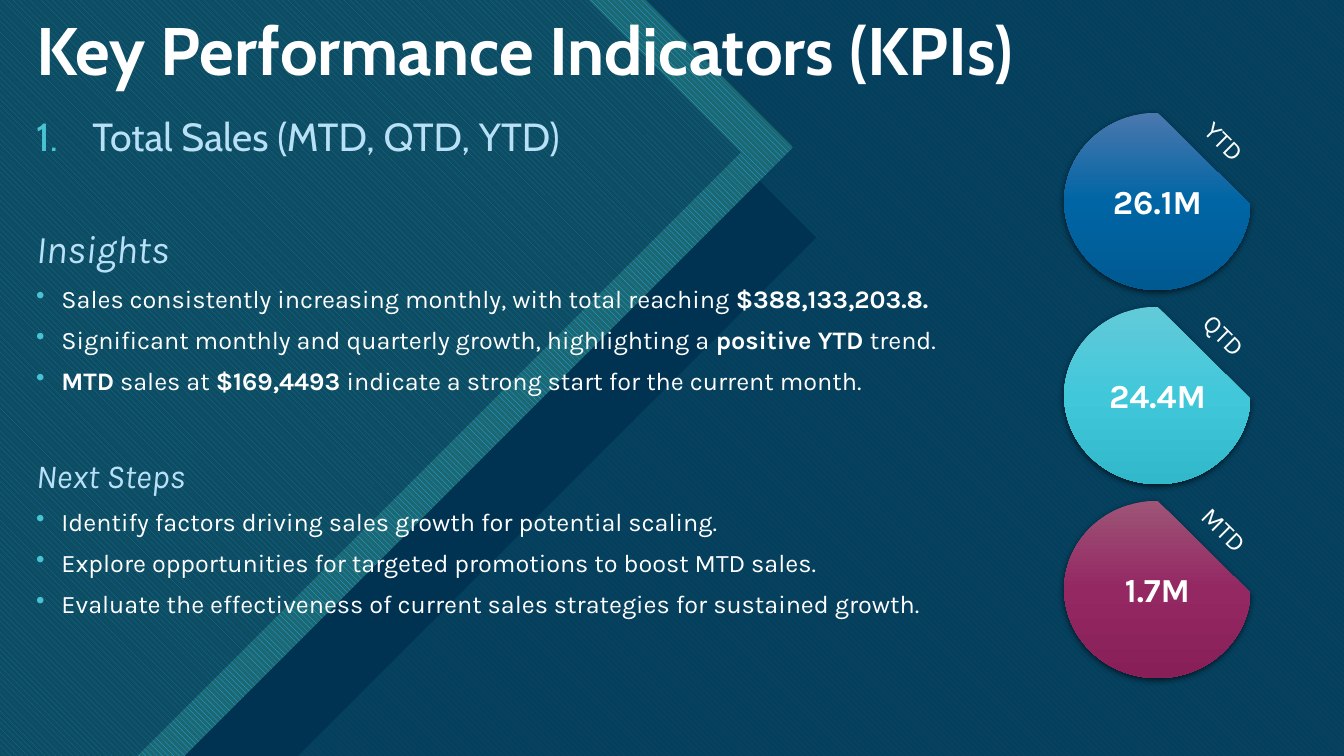
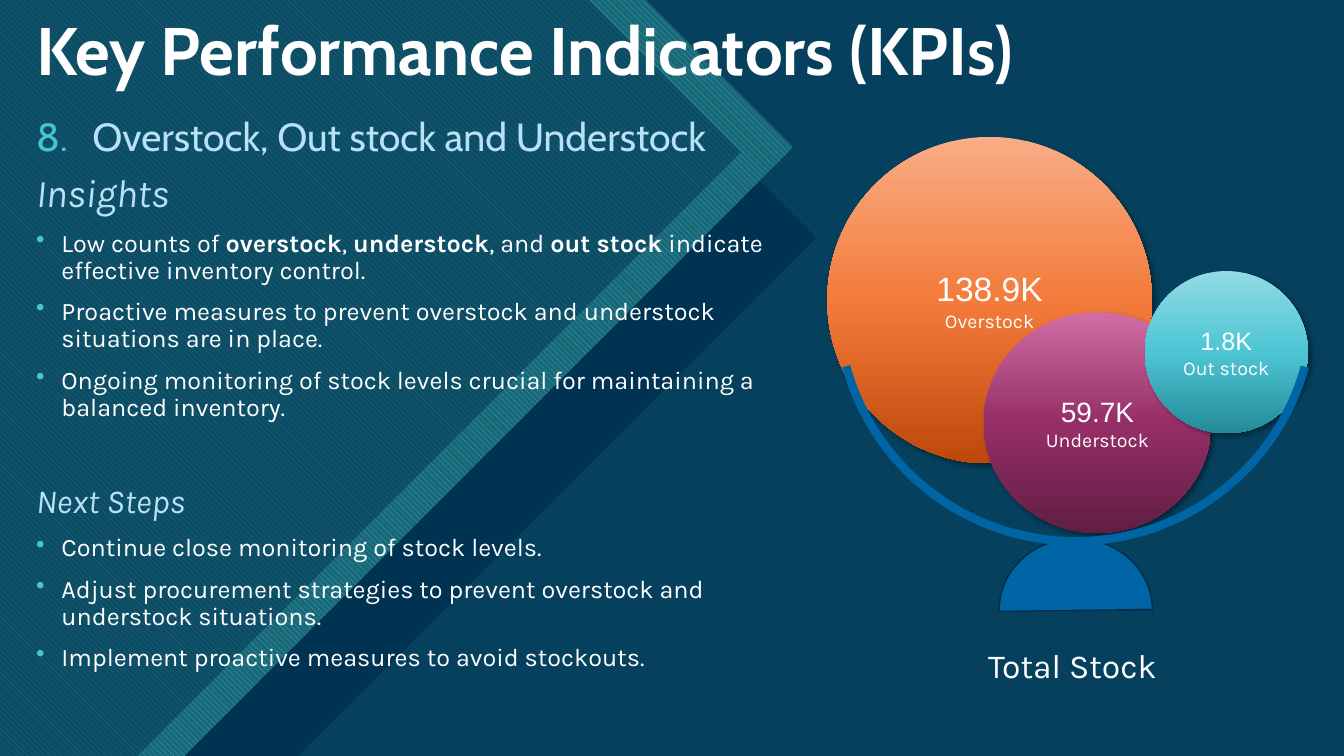
from pptx import Presentation
from pptx.dml.color import RGBColor
from pptx.enum.dml import MSO_PATTERN
from pptx.enum.shapes import MSO_SHAPE
from pptx.enum.text import MSO_ANCHOR, PP_ALIGN
from pptx.oxml import parse_xml
from pptx.oxml.ns import nsdecls, qn
from pptx.util import Cm, Pt

WHITE = RGBColor(0xFF, 0xFF, 0xFF)
SKY = RGBColor(0xB8, 0xE0, 0xF6)
TEAL = RGBColor(0x47, 0xC3, 0xD3)
DEEP_TEAL = RGBColor(0x1B, 0x68, 0x72)
BRIGHT_BLUE = RGBColor(0x2F, 0xAF, 0xFF)
BLUE = RGBColor(0x00, 0x65, 0xA4)
NAVY = RGBColor(0x00, 0x33, 0x52)
OUTLINE = RGBColor(0x00, 0x2C, 0x48)

YTD_BLUES = (RGBColor(0x4B, 0x78, 0xAE), BLUE, RGBColor(0x00, 0x5A, 0x92))
QTD_TEALS = (RGBColor(0x63, 0xCA, 0xD9), RGBColor(0x40, 0xC8, 0xDA), RGBColor(0x31, 0xB8, 0xCA))
MTD_PLUMS = (RGBColor(0x9D, 0x54, 0x77), RGBColor(0x94, 0x28, 0x63), RGBColor(0x88, 0x1F, 0x59))
OVER_ORANGES = (RGBColor(0xF8, 0xAD, 0x86), RGBColor(0xF4, 0x7B, 0x3B), RGBColor(0xBD, 0x48, 0x0A))
UNDER_PLUMS = (RGBColor(0xD1, 0x6C, 0xA4), RGBColor(0x96, 0x2F, 0x68), RGBColor(0x60, 0x1E, 0x42))
OUT_TEALS = (RGBColor(0x91, 0xDB, 0xE5), RGBColor(0x4D, 0xC5, 0xD4), RGBColor(0x24, 0x8B, 0x98))

RECTANGLE, CHORD = MSO_SHAPE.RECTANGLE, MSO_SHAPE.CHORD
OVAL, ARC = MSO_SHAPE.OVAL, MSO_SHAPE.ARC
WIDE_DOWN = MSO_PATTERN.WIDE_DOWNWARD_DIAGONAL
MIDDLE, TOP = MSO_ANCHOR.MIDDLE, MSO_ANCHOR.TOP
CENTER, LEFT = PP_ALIGN.CENTER, PP_ALIGN.LEFT

SLIDE_W, SLIDE_H = 33.87, 19.05
TITLE = "Key Performance Indicators (KPIs)"
TITLE_BOX = (0.66, 0.43, 32.4, 1.85)

TITLE_FONT = dict(name="Cabin", size=Pt(48), bold=True, color=WHITE)
KPI_FONT = dict(name="Cabin", size=Pt(28), color=SKY)
INSIGHTS_FONT = dict(name="Karla", size=Pt(28), italic=True, color=SKY)
STEPS_FONT = dict(name="Karla", size=Pt(24), italic=True, color=SKY)
BULLET_FONT = dict(name="Karla", size=Pt(18), color=WHITE)
VALUE_FONT = dict(name="Karla", size=Pt(24), bold=True, color=WHITE)
PERIOD_FONT = dict(name="Karla", size=Pt(18), color=WHITE)
STOCK_FONT = dict(name="Karla", size=Pt(14), color=WHITE)
TOTAL_FONT = dict(name="Karla", size=Pt(24), color=WHITE)

GAUGE_SHADOW = dict(alpha=63, blur=4.5, dist=1.5, angle=90)
BUBBLE_SHADOW = dict(alpha=40, blur=4, dist=3, angle=45)


def box(left, top, width, height):
    """Convert a box in centimetres to lengths."""
    return [Cm(value) for value in (left, top, width, height)]


def apply_format(target, values):
    """Set each attribute of the target; a colour goes to its rgb value."""
    for key, value in values.items():
        if key == "color":
            target.color.rgb = value
        else:
            setattr(target, key, value)


def add_text(paragraph, text, font):
    """Write text in one font, with the parts between ** in bold."""
    for index, part in enumerate(text.split("**")):
        if part:
            run = paragraph.add_run()
            run.text = part
            apply_format(run.font, font)
            if index % 2:
                run.font.bold = True


def fill_frame(shape, lines, align=CENTER, anchor=MIDDLE):
    """Write (text, font) lines into a shape and return its paragraphs."""
    frame = shape.text_frame
    apply_format(frame, dict(word_wrap=True, vertical_anchor=anchor))
    for index, (text, font) in enumerate(lines):
        paragraph = frame.add_paragraph() if index else frame.paragraphs[0]
        paragraph.alignment = align
        add_text(paragraph, text, font)
    return frame.paragraphs


def add_label(slide, area, text, font, align=CENTER, anchor=TOP, rotation=0):
    """Place one line of text in a box."""
    label = slide.shapes.add_textbox(*box(*area))
    label.rotation = rotation
    return fill_frame(label, [(text, font)], align, anchor)[0]


def paint(shape, color, alpha=100):
    """Give a shape a flat fill, without line or shadow."""
    shape.shadow.inherit = False
    shape.line.fill.background()
    shape.fill.solid()
    shape.fill.fore_color.rgb = color
    if alpha < 100:
        swatch = shape.fill._xPr.find(qn("a:solidFill"))[0]
        swatch.append(parse_xml(f'<a:alpha {nsdecls("a")} val="{alpha * 1000}"/>'))


def hatch(shape, fore, back):
    """Give a shape a diagonal pattern, without line or shadow."""
    shape.shadow.inherit = False
    shape.line.fill.background()
    shape.fill.patterned()
    shape.fill.pattern = WIDE_DOWN
    shape.fill.fore_color.rgb = fore
    shape.fill.back_color.rgb = back


def shade(shape, colors, shadow):
    """Give a shape a gradient from top to bottom and an outer shadow."""
    shape.shadow.inherit = False
    shape.line.fill.background()
    stops = "".join(
        f'<a:gs pos="{index * 50000}"><a:srgbClr val="{color}"/></a:gs>'
        for index, color in enumerate(colors)
    )
    properties = shape._element.spPr
    properties.find(qn("a:prstGeom")).addnext(parse_xml(
        f'<a:gradFill {nsdecls("a")} rotWithShape="1"><a:gsLst>{stops}</a:gsLst>'
        '<a:lin ang="5400000" scaled="0"/></a:gradFill>'
    ))
    properties.find(qn("a:effectLst")).append(parse_xml(
        f'<a:outerShdw {nsdecls("a")} blurRad="{Pt(shadow["blur"])}" '
        f'dist="{Pt(shadow["dist"])}" dir="{shadow["angle"] * 60000}" rotWithShape="0">'
        f'<a:srgbClr val="000000"><a:alpha val="{shadow["alpha"] * 1000}"/></a:srgbClr>'
        '</a:outerShdw>'
    ))


def add_chevron(slide, tip_x, tip_y):
    """Draw a region from the left edge to a right-angled tip."""
    points = [
        (tip_x - tip_y, 0), (tip_x, tip_y),
        (tip_x - (SLIDE_H - tip_y), SLIDE_H), (0, SLIDE_H),
    ]
    builder = slide.shapes.build_freeform(0, 0)
    builder.add_line_segments([(Cm(x), Cm(y)) for x, y in points])
    return builder.convert_to_shape()


def add_backdrop(slide):
    """Draw the hatched ground and its layered chevrons."""
    page = box(0, 0, SLIDE_W, SLIDE_H)
    hatch(slide.shapes.add_shape(RECTANGLE, *page), BLUE, TEAL)
    paint(slide.shapes.add_shape(RECTANGLE, *page), NAVY, 90)
    paint(add_chevron(slide, 20.57, 5.99), NAVY)
    hatch(add_chevron(slide, 19.99, 3.71), BRIGHT_BLUE, DEEP_TEAL)
    paint(add_chevron(slide, 18.67, 3.84), NAVY, 51)


def add_marker(paragraph, indent, marker):
    """Hang a teal bullet or number in front of a paragraph."""
    properties = paragraph._p.get_or_add_pPr()
    properties.set("marL", str(Cm(indent)))
    properties.set("indent", str(-Cm(indent)))
    for xml in (
        f'<a:buClr {nsdecls("a")}><a:srgbClr val="{TEAL}"/></a:buClr>',
        marker,
    ):
        properties.append(parse_xml(xml))


def add_findings(slide, area, number, kpi, insights, steps, insights_gap):
    """Write the numbered KPI with its insights and next steps."""
    bullet = f'<a:buChar {nsdecls("a")} char="•"/>'
    numeral = f'<a:buAutoNum {nsdecls("a")} type="arabicPeriod" startAt="{number}"/>'
    rows = [(kpi, KPI_FONT, 10, 1.42, numeral), ("Insights", INSIGHTS_FONT, insights_gap, 0, None)]
    rows += [(text, BULLET_FONT, 10, 0.64, bullet) for text in insights]
    rows.append(("Next Steps", STEPS_FONT, 45, 0, None))
    rows += [(text, BULLET_FONT, 10, 0.64, bullet) for text in steps]
    findings = slide.shapes.add_textbox(*box(*area))
    paragraphs = fill_frame(findings, [row[:2] for row in rows], LEFT, TOP)
    for paragraph, (_, _, gap, indent, marker) in zip(paragraphs, rows):
        apply_format(paragraph, dict(line_spacing=0.9, space_before=Pt(gap)))
        if marker:
            add_marker(paragraph, indent, marker)


def add_sales_gauges(slide, left, top, gauges):
    """Stack one clipped disc with a slanted label for each period."""
    for index, (period, value, colors) in enumerate(gauges):
        disc_top = top + index * 4.89
        disc = slide.shapes.add_shape(CHORD, *box(left, disc_top, 4.7, 4.47))
        disc.adjustments[0], disc.adjustments[1] = 1.39, 162
        shade(disc, colors, GAUGE_SHADOW)
        fill_frame(disc, [(value, VALUE_FONT)])
        add_label(slide, (left + 2.49, disc_top + 0.2, 3.1, 1.02), period, PERIOD_FONT, rotation=44.7)


def add_stock_bowl(slide, left, top, bubbles):
    """Draw the stock bubbles resting in a bowl on its stand."""
    for x, y, width, height, value, size, name, colors in bubbles:
        bubble = slide.shapes.add_shape(OVAL, *box(left + x, top + y, width, height))
        shade(bubble, colors, BUBBLE_SHADOW)
        value_font = dict(name="Arial", size=Pt(size), color=WHITE)
        fill_frame(bubble, [(value, value_font), (name, STOCK_FONT)])
    stand = slide.shapes.add_shape(CHORD, *box(left + 4.47, top + 9.98, 3.58, 3.86))
    stand.adjustments[0], stand.adjustments[1] = 53.13, 162
    stand.rotation = 90
    paint(stand, BLUE)
    apply_format(stand.line, dict(color=OUTLINE, width=Pt(1)))
    bowl = slide.shapes.add_shape(ARC, *box(left + 0.26, top - 1.8, 11.99, 11.99))
    bowl.adjustments[0], bowl.adjustments[1] = 144.99, 18.52
    bowl.rotation = 133.8
    bowl.shadow.inherit = False
    bowl.fill.background()
    apply_format(bowl.line, dict(color=BLUE, width=Pt(6)))
    add_label(slide, (left + 3.15, top + 12.68, 6.05, 1.27), "Total Stock", TOTAL_FONT)


def add_kpi_slide(deck):
    """Add a blank slide with the shared backdrop and title."""
    slide = deck.slides.add_slide(deck.slide_layouts[6])
    add_backdrop(slide)
    title = add_label(slide, TITLE_BOX, TITLE, TITLE_FONT, LEFT, MIDDLE)
    title.line_spacing = 0.9
    return slide


def add_sales_slide(deck):
    """Build the total sales slide."""
    slide = add_kpi_slide(deck)
    add_findings(slide, (0.66, 2.84, 24.59, 15.75), 1, "Total Sales (MTD, QTD, YTD)", [
        "Sales consistently increasing monthly, with total reaching **$388,133,203.8.**",
        "Significant monthly and quarterly growth, highlighting a **positive YTD **trend.",
        "**MTD** sales at **$169,4493 **indicate a strong start for the current month.",
    ], [
        "Identify factors driving sales growth for potential scaling.",
        "Explore opportunities for targeted promotions to boost MTD sales.",
        "Evaluate the effectiveness of current sales strategies for sustained growth.",
    ], 50)
    add_sales_gauges(slide, 26.82, 2.84, [
        ("YTD", "26.1M", YTD_BLUES),
        ("QTD", "24.4M", QTD_TEALS),
        ("MTD", "1.7M", MTD_PLUMS),
    ])


def add_stock_slide(deck):
    """Build the stock levels slide."""
    slide = add_kpi_slide(deck)
    add_findings(slide, (0.66, 2.84, 19.79, 15.39), 8, "Overstock, Out stock and Understock", [
        "Low counts of **overstock**, **understock**, and **out stock** indicate effective inventory control.",
        "Proactive measures to prevent overstock and understock situations are in place.",
        "Ongoing monitoring of stock levels crucial for maintaining a balanced inventory.",
    ], [
        "Continue close monitoring of stock levels.",
        "Adjust procurement strategies to prevent overstock and understock situations.",
        "Implement proactive measures to avoid stockouts.",
    ], 10)
    add_stock_bowl(slide, 20.85, 3.45, [
        (0, 0, 8.18, 8.23, "138.9K", 24, "Overstock", OVER_ORANGES),
        (3.94, 4.42, 5.74, 5.56, "59.7K", 20, "Understock", UNDER_PLUMS),
        (8, 3.38, 4.11, 4.09, "1.8K", 18, "Out stock", OUT_TEALS),
    ])


def main():
    """Build and save the deck."""
    deck = Presentation()
    apply_format(deck, dict(slide_width=Cm(SLIDE_W), slide_height=Cm(SLIDE_H)))
    add_sales_slide(deck)
    add_stock_slide(deck)
    deck.save("out.pptx")


if __name__ == "__main__":
    main()
